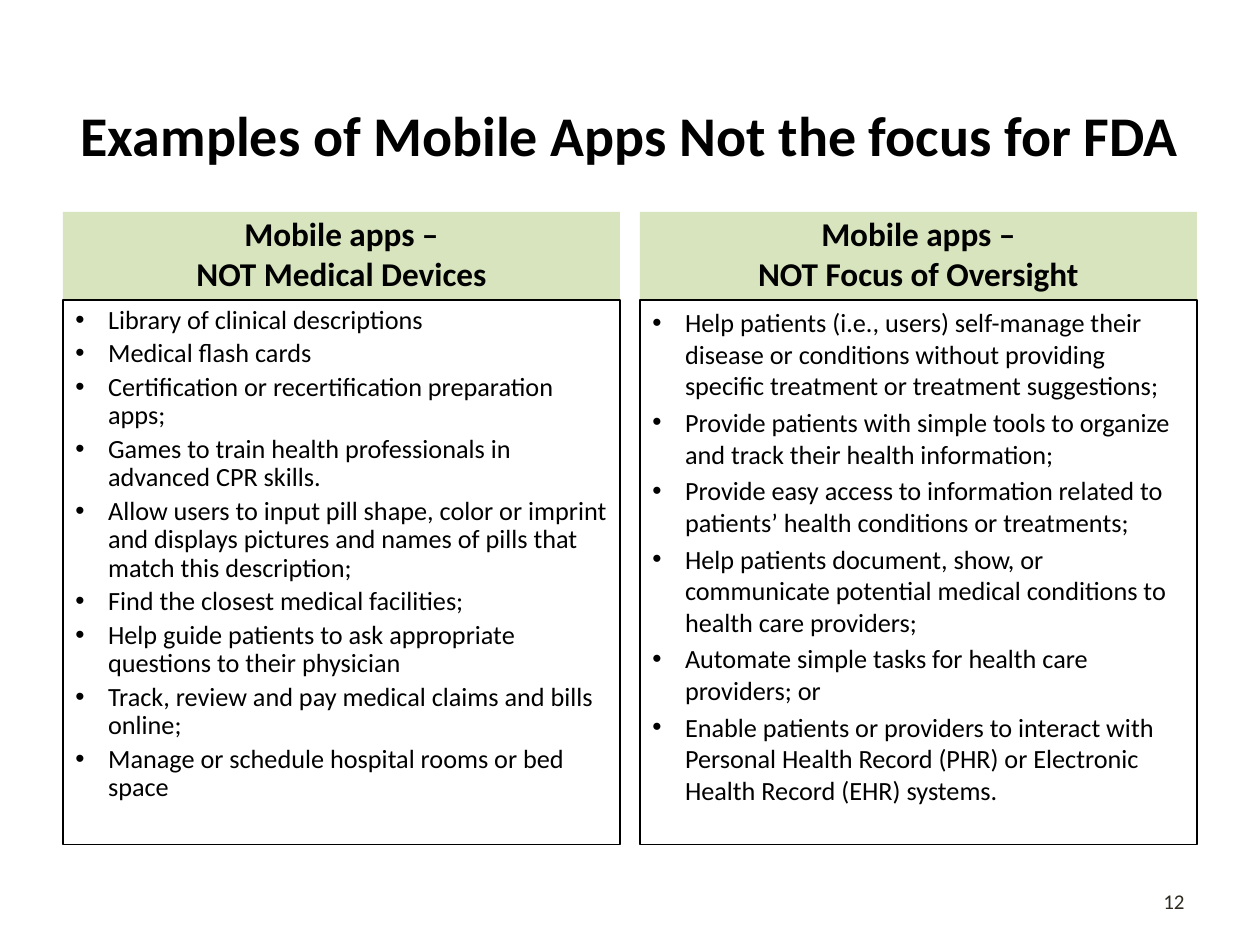
from dataclasses import dataclass

import lxml.etree
import pptx
import pptx.dml.color
import pptx.enum.shapes
import pptx.enum.text
import pptx.oxml.ns
import pptx.util

Cm = pptx.util.Cm
Pt = pptx.util.Pt
RGBColor = pptx.dml.color.RGBColor
Align = pptx.enum.text.PP_ALIGN
Anchor = pptx.enum.text.MSO_ANCHOR


@dataclass(frozen=True)
class Theme:
    font: str = "Calibri"
    ink: RGBColor = RGBColor(0x00, 0x00, 0x00)
    number: RGBColor = RGBColor(0x2F, 0x2B, 0x20)
    band: RGBColor = RGBColor(0xD7, 0xE4, 0xBD)
    title_size: int = 32
    heading_size: int = 19
    body_size: int = 15
    number_size: int = 12


THEME = Theme()

COLUMNS = [
    {
        "heading": ["Mobile apps –", "NOT Medical Devices"],
        "line_spacing": 0.9,
        "items": [
            "Library of clinical descriptions",
            "Medical flash cards",
            "Certification or recertification preparation apps;",
            "Games to train health professionals in advanced CPR skills.",
            "Allow users to input pill shape, color or imprint and displays pictures "
            "and names of pills that match this description;",
            "Find the closest medical facilities;",
            "Help guide patients to ask appropriate questions to their physician",
            "Track, review and pay medical claims and bills online;",
            "Manage or schedule hospital rooms or bed space",
        ],
    },
    {
        "heading": ["Mobile apps –", "NOT Focus of Oversight"],
        "line_spacing": 1.0,
        "items": [
            "Help patients (i.e., users) self-manage their disease or conditions "
            "without providing specific treatment or treatment suggestions;",
            "Provide patients with simple tools to organize and track their health information;",
            "Provide easy access to information related to patients’ health conditions or treatments;",
            "Help patients document, show, or communicate potential medical conditions "
            "to health care providers;",
            "Automate simple tasks for health care providers; or",
            "Enable patients or providers to interact with Personal Health Record (PHR) "
            "or Electronic Health Record (EHR) systems.",
        ],
    },
]


def apply_format(target, values):
    for name, value in values.items():
        setattr(target, name, value)


def add_bullet(para):
    properties = para._p.get_or_add_pPr()
    properties.set("marL", str(Cm(0.66)))
    properties.set("indent", str(-Cm(0.66)))
    qn = pptx.oxml.ns.qn
    color = lxml.etree.SubElement(properties, qn("a:buClr"))
    lxml.etree.SubElement(color, qn("a:srgbClr"), val=str(THEME.ink))
    lxml.etree.SubElement(properties, qn("a:buFont"), typeface="Arial")
    lxml.etree.SubElement(properties, qn("a:buChar"), char="•")


def write_text(shape, lines, size, anchor, align, color=THEME.ink, bold=False,
               line_spacing=1.0, gap=0, bullets=False):
    frame = shape.text_frame
    apply_format(frame, {
        "word_wrap": True, "vertical_anchor": anchor,
        "margin_left": Cm(0.25), "margin_right": Cm(0.25),
        "margin_top": Cm(0.13), "margin_bottom": Cm(0.13),
    })
    for index, line in enumerate(lines):
        para = frame.add_paragraph() if index else frame.paragraphs[0]
        if bullets:
            add_bullet(para)
        apply_format(para, {"alignment": align, "line_spacing": line_spacing})
        if index and gap:
            para.space_before = Pt(gap)
        span = para.add_run()
        span.text = line
        apply_format(span.font, {"name": THEME.font, "size": Pt(size), "bold": bold})
        span.font.color.rgb = color


def add_panel(page, box, fill=None, line=None):
    panel = page.shapes.add_shape(pptx.enum.shapes.MSO_SHAPE.RECTANGLE, *box)
    panel.shadow.inherit = False
    if fill is None:
        panel.fill.background()
    else:
        panel.fill.solid()
        panel.fill.fore_color.rgb = fill
    if line is None:
        panel.line.fill.background()
    else:
        panel.line.color.rgb = line
        panel.line.width = Pt(0.75)
    return panel


def add_title(page, box, text):
    write_text(page.shapes.add_textbox(*box), [text], THEME.title_size,
               Anchor.MIDDLE, Align.CENTER, bold=True)


def add_column(page, box, column):
    left, top, width, height = box
    heading_height = Cm(1.78)
    heading = add_panel(page, (left, top, width, heading_height), fill=THEME.band)
    write_text(heading, column["heading"], THEME.heading_size, Anchor.BOTTOM,
               Align.CENTER, bold=True, line_spacing=0.9, gap=2)
    body = add_panel(page, (left, top + heading_height, width, height - heading_height),
                     line=THEME.ink)
    write_text(body, column["items"], THEME.body_size, Anchor.TOP, Align.LEFT,
               line_spacing=column["line_spacing"], gap=3, bullets=True)


def add_columns(page, box, columns):
    left, top, width, height = box
    gap = Cm(0.4)
    column_width = (width - gap * (len(columns) - 1)) // len(columns)
    for index, column in enumerate(columns):
        column_left = left + index * (column_width + gap)
        add_column(page, (column_left, top, column_width, height), column)


def add_page_number(page, box, number):
    write_text(page.shapes.add_textbox(*box), [str(number)], THEME.number_size,
               Anchor.MIDDLE, Align.RIGHT, color=THEME.number)


def main():
    deck = pptx.Presentation()
    apply_format(deck, {"slide_width": Cm(25.4), "slide_height": Cm(19.05)})
    page = deck.slides.add_slide(deck.slide_layouts[6])
    margin = Cm(1.27)
    width = deck.slide_width - 2 * margin
    add_title(page, (margin, Cm(1.45), width, Cm(2.49)),
              "Examples of Mobile Apps Not the focus for FDA")
    add_columns(page, (margin, Cm(4.27), width, Cm(12.75)), COLUMNS)
    number_width = Cm(5.92)
    add_page_number(page, (margin + width - number_width, Cm(17.65), number_width, Cm(1.02)), 12)
    deck.save("out.pptx")


if __name__ == "__main__":
    main()
